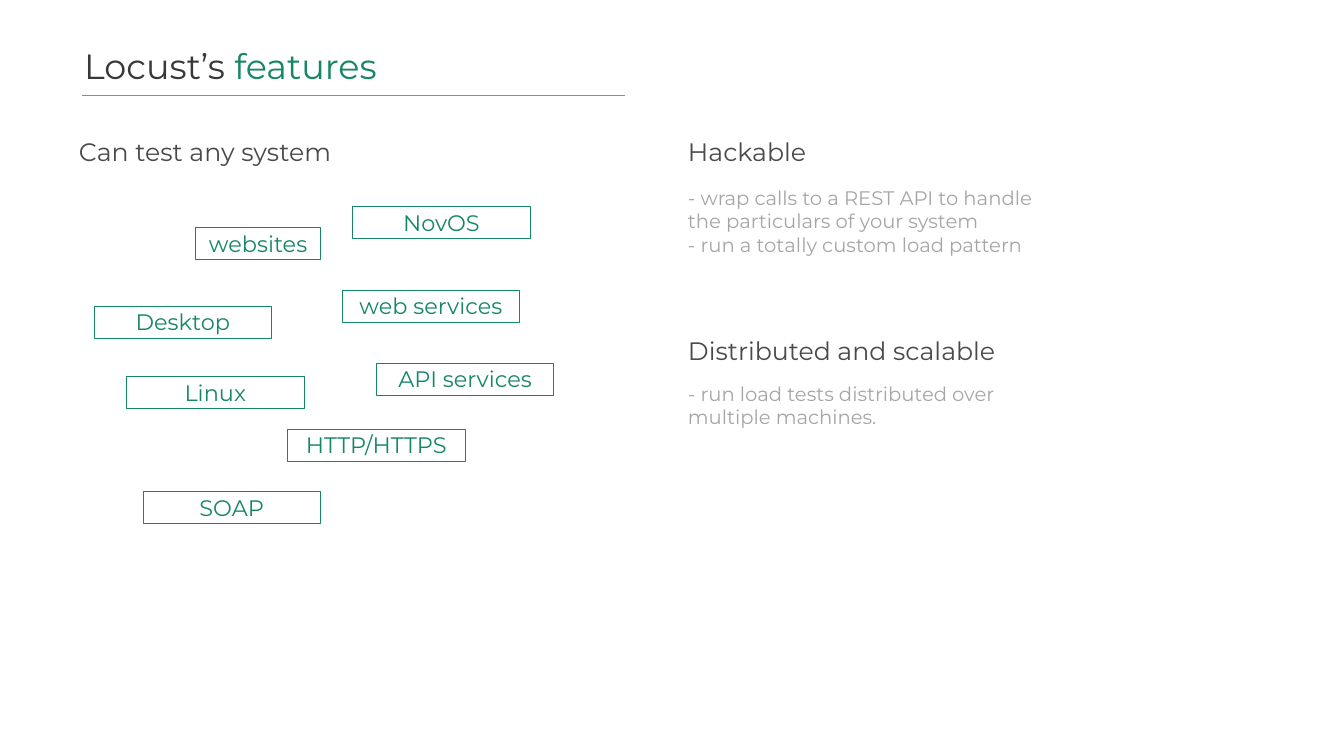
from lxml.etree import SubElement
from pptx import Presentation
from pptx.dml.color import RGBColor as Rgb
from pptx.enum.shapes import MSO_CONNECTOR as Link, MSO_SHAPE as Shape
from pptx.enum.text import MSO_ANCHOR as Anchor, MSO_AUTO_SIZE as Fit, PP_ALIGN as Align
from pptx.oxml.ns import qn
from pptx.util import Cm, Pt

THEME = {
    "font": "Montserrat",
    "ink": "383838", "head": "4A4A4A", "body": "A6A6A6", "green": "158666", "rule": "8C8C8C",
    "title_pt": 50, "head_pt": 36, "tag_pt": 32, "body_pt": 28,
}

# Lengths are in centimetres.
LEFT, RIGHT = 3.73, 34.42
TITLE = [("Locust’s ", "ink"), ("features", "green")]

# heading, left, top, width
HEADS = [
    ("Can test any system", LEFT, 6.73, 16.48),
    ("Distributed and scalable", RIGHT, 16.79, 16.48),
    ("Hackable", RIGHT, 6.73, 7.92),
]

# label, left, top, width
WIDE = 8.94
TAGS = [
    ("websites", 9.86, 11.46, 6.3),
    ("web services", 17.25, 14.61, WIDE),
    ("API services", 18.97, 18.29, WIDE),
    ("Desktop", 4.75, 15.42, WIDE),
    ("Linux", 6.38, 18.97, WIDE),
    ("NovOS", 17.78, 10.39, WIDE),
    ("HTTP/HTTPS", 14.5, 21.62, WIDE),
    ("SOAP", 7.21, 24.77, WIDE),
]

# lines, top, height
NOTES = [
    (["- wrap calls to a REST API to handle the particulars of your system",
      "- run a totally custom load pattern"], 9.22, 3.84),
    (["- run load tests distributed over multiple machines."], 19.1, 2.64),
]


def tint(name):
    return Rgb.from_string(THEME[name])


def write(shape, lines, size, color="ink", align=Align.LEFT, pad=(0.25, 0.13)):
    """Fill a shape with one paragraph; each line is a list of (text, color) or a string."""
    frame = shape.text_frame
    frame.word_wrap = True
    frame.auto_size = Fit.SHAPE_TO_FIT_TEXT
    frame.vertical_anchor = Anchor.TOP
    frame.margin_left = frame.margin_right = Cm(pad[0])
    frame.margin_top = frame.margin_bottom = Cm(pad[1])
    para = frame.paragraphs[0]
    para.alignment = align
    for i, line in enumerate(lines):
        if i:
            para.add_line_break()
        for text, shade in [(line, color)] if isinstance(line, str) else line:
            run = para.add_run()
            run.text = text
            run.font.name = THEME["font"]
            run.font.size = Pt(THEME[size])
            run.font.color.rgb = tint(shade)


def draw_rule(slide, x1, x2, y):
    rule = slide.shapes.add_connector(Link.STRAIGHT, Cm(x1), Cm(y), Cm(x2), Cm(y))
    rule.line.color.rgb = tint("rule")
    rule.line.width = Pt(0.25)
    SubElement(rule._element.spPr, qn("a:effectLst"))


def draw_tag(slide, label, x, y, w):
    tag = slide.shapes.add_shape(Shape.RECTANGLE, Cm(x), Cm(y), Cm(w), Cm(1.63))
    tag.shadow.inherit = False
    tag.fill.background()
    tag.line.color.rgb = tint("green")
    tag.line.width = Pt(1)
    write(tag, [label], "tag_pt", color="green", align=Align.CENTER)


def add_box(slide, x, y, w, h):
    return slide.shapes.add_textbox(Cm(x), Cm(y), Cm(w), Cm(h))


def main():
    deck = Presentation()
    deck.slide_width, deck.slide_height = Cm(67.73), Cm(38.1)
    slide = deck.slides.add_slide(deck.slide_layouts[6])

    draw_rule(slide, 4.14, 31.5, 4.8)
    write(add_box(slide, LEFT, 1.98, 29.26, 2.64), [TITLE], "title_pt", pad=(0.51, 0.25))
    for text, x, y, w in HEADS:
        write(add_box(slide, x, y, w, 1.8), [text], "head_pt", color="head")
    for tag in TAGS:
        draw_tag(slide, *tag)
    for lines, y, h in NOTES:
        write(add_box(slide, RIGHT, y, 19.53, h), lines, "body_pt", color="body")

    deck.save("out.pptx")


if __name__ == "__main__":
    main()
